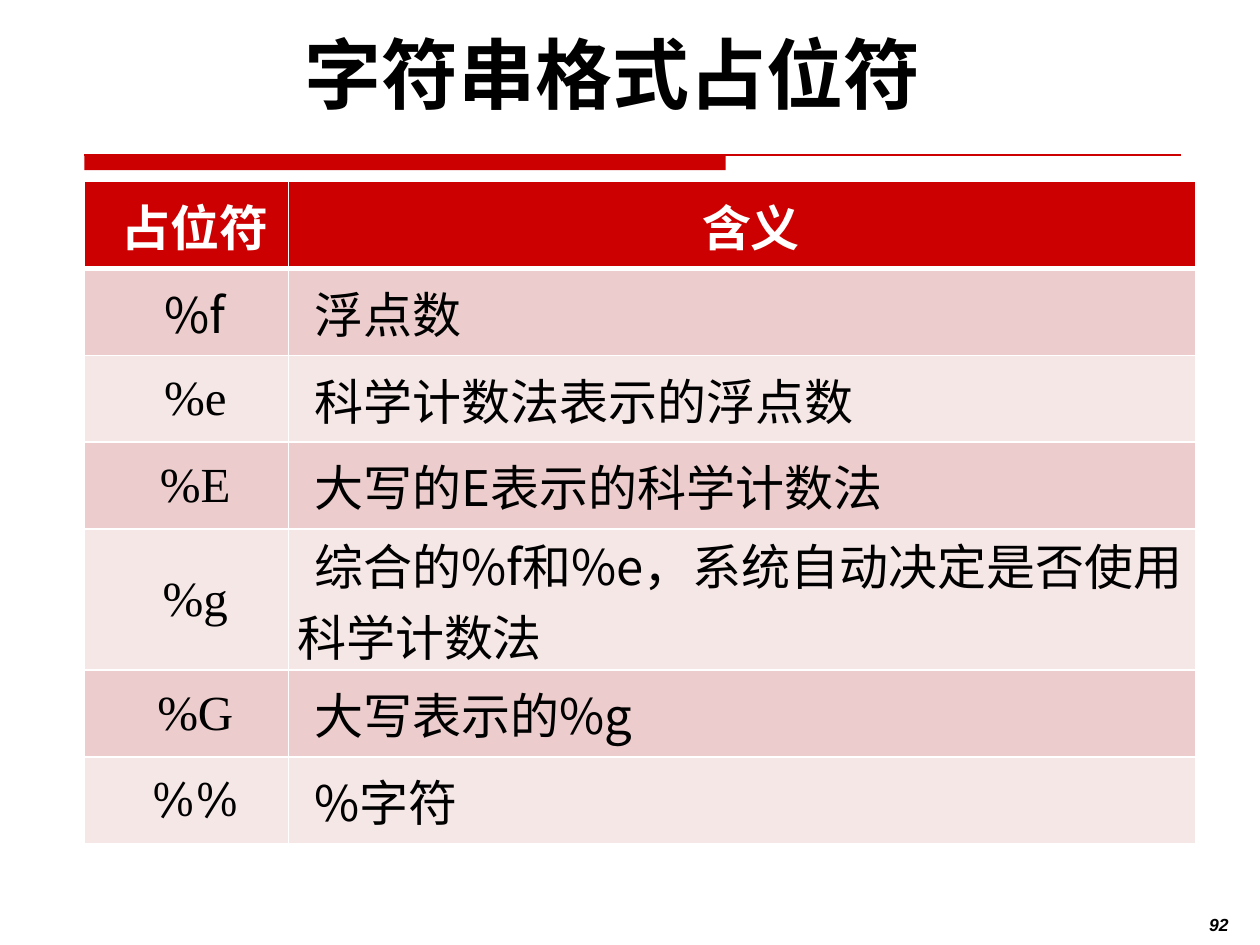
from pptx import Presentation
from pptx.dml.color import RGBColor
from pptx.enum import shapes, text
from pptx.oxml import parse_xml
from pptx.oxml.ns import nsdecls
from pptx.util import Inches, Pt

RED = RGBColor(0xCC, 0x00, 0x00)
PINK = RGBColor(0xEC, 0xCC, 0xCC)
PALE = RGBColor(0xF6, 0xE7, 0xE7)
WHITE = RGBColor(0xFF, 0xFF, 0xFF)
BLACK = RGBColor(0x00, 0x00, 0x00)
CJK = "Noto Sans CJK SC"
SERIF = "Times New Roman"

ROW_HEIGHT = 0.69
TWO_LINE_HEIGHT = 1.12
HEADER = ("占位符", "含义")
PLACEHOLDERS = [
    ("%f", CJK, "浮点数", ROW_HEIGHT),
    ("%e", SERIF, "科学计数法表示的浮点数", ROW_HEIGHT),
    ("%E", SERIF, "大写的E表示的科学计数法", ROW_HEIGHT),
    ("%g", SERIF, "综合的%f和%e，系统自动决定是否使用 科学计数法", TWO_LINE_HEIGHT),
    ("%G", SERIF, "大写表示的%g", ROW_HEIGHT),
    ("%%", "Cambria", "%字符", ROW_HEIGHT),
]


def write(frame, content, color, align, **font_values):
    paragraph = frame.paragraphs[0]
    paragraph.alignment = align
    run = paragraph.add_run()
    run.text = content
    for name, value in font_values.items():
        setattr(run.font, name, value)
    run.font.color.rgb = color
    return paragraph


def set_frame(frame, **values):
    for name, value in values.items():
        setattr(frame, name, value)


def add_title(slide, content):
    title = slide.shapes.title
    title.left, title.top = Inches(2.32), Inches(0.07)
    title.width, title.height = Inches(7.02), Inches(0.92)
    set_frame(title.text_frame, vertical_anchor=text.MSO_ANCHOR.BOTTOM,
              auto_size=text.MSO_AUTO_SIZE.NONE, word_wrap=True)
    write(title.text_frame, content, BLACK, text.PP_ALIGN.LEFT,
          name="Roboto", size=Pt(44), bold=True)


def add_title_rule(slide):
    left, top = Inches(0.67), Inches(1.23)
    bar = slide.shapes.add_shape(shapes.MSO_SHAPE.RECTANGLE, left, top,
                                 Inches(5.09), Inches(0.12))
    bar.shadow.inherit = False
    bar.fill.solid()
    bar.fill.fore_color.rgb = RED
    bar.line.fill.background()
    line = slide.shapes.add_connector(shapes.MSO_CONNECTOR.STRAIGHT,
                                      left, top, Inches(9.37), top)
    line.line.color.rgb = RED
    line.line.width = Pt(0.75)
    line._element.spPr.append(parse_xml(f"<a:effectLst {nsdecls('a')}/>"))


def set_borders(cell, bottom, top):
    """Draw white borders, in points; the sides are always 1 pt."""
    properties = cell._tc.get_or_add_tcPr()
    widths = {"lnL": 1, "lnR": 1, "lnT": top, "lnB": bottom}
    for index, (tag, width) in enumerate(widths.items()):
        properties.insert(index, parse_xml(
            f'<a:{tag} {nsdecls("a")} w="{Pt(width)}"><a:solidFill>'
            f'<a:srgbClr val="{WHITE}"/></a:solidFill></a:{tag}>'))


def fill_cell(cell, content, fill, color, align, font, bold):
    set_frame(cell, margin_left=Inches(0.07), margin_right=Inches(0.07),
              margin_top=0, margin_bottom=0,
              vertical_anchor=text.MSO_ANCHOR.MIDDLE)
    cell.fill.solid()
    cell.fill.fore_color.rgb = fill
    paragraph = write(cell.text_frame, content, color, align,
                      name=font, size=Pt(28), bold=bold)
    paragraph._p.get_or_add_pPr().set("indent", str(Inches(0.14)))
    paragraph.runs[0].font._element.append(
        parse_xml(f'<a:ea {nsdecls("a")} typeface="{CJK}"/>'))


def add_placeholder_table(slide):
    heights = [ROW_HEIGHT] + [entry[-1] for entry in PLACEHOLDERS]
    table = slide.shapes.add_table(len(heights), 2, Inches(0.67), Inches(1.44),
                                   Inches(8.82), Inches(sum(heights))).table
    for column, width in zip(table.columns, (1.62, 7.2)):
        column.width = Inches(width)
    for row, height in zip(table.rows, heights):
        row.height = Inches(height)
    center, left = text.PP_ALIGN.CENTER, text.PP_ALIGN.LEFT
    for column, label in enumerate(HEADER):
        cell = table.cell(0, column)
        fill_cell(cell, label, RED, WHITE, center, CJK, True)
        set_borders(cell, bottom=3, top=1)
    for row, (code, font, meaning, _) in enumerate(PLACEHOLDERS, start=1):
        fill = PINK if row % 2 else PALE
        fill_cell(table.cell(row, 0), code, fill, BLACK, center, font, False)
        fill_cell(table.cell(row, 1), meaning, fill, BLACK, left, CJK, False)
        for column in range(2):
            set_borders(table.cell(row, column), bottom=1,
                        top=3 if row == 1 else 1)


def add_page_number(slide, number):
    box = slide.shapes.add_textbox(Inches(8.92), Inches(7.02),
                                   Inches(0.83), Inches(0.4))
    set_frame(box.text_frame, word_wrap=True, margin_left=0, margin_right=0,
              margin_top=0, margin_bottom=0,
              vertical_anchor=text.MSO_ANCHOR.BOTTOM)
    write(box.text_frame, number, BLACK, text.PP_ALIGN.RIGHT,
          name="Arial", size=Pt(10), bold=True, italic=True)


def main():
    presentation = Presentation()
    presentation.slide_width = Inches(10)
    presentation.slide_height = Inches(7.5)
    slide = presentation.slides.add_slide(presentation.slide_layouts[5])
    add_title_rule(slide)
    add_title(slide, "字符串格式占位符")
    add_page_number(slide, "92")
    add_placeholder_table(slide)
    presentation.save("out.pptx")


if __name__ == "__main__":
    main()
